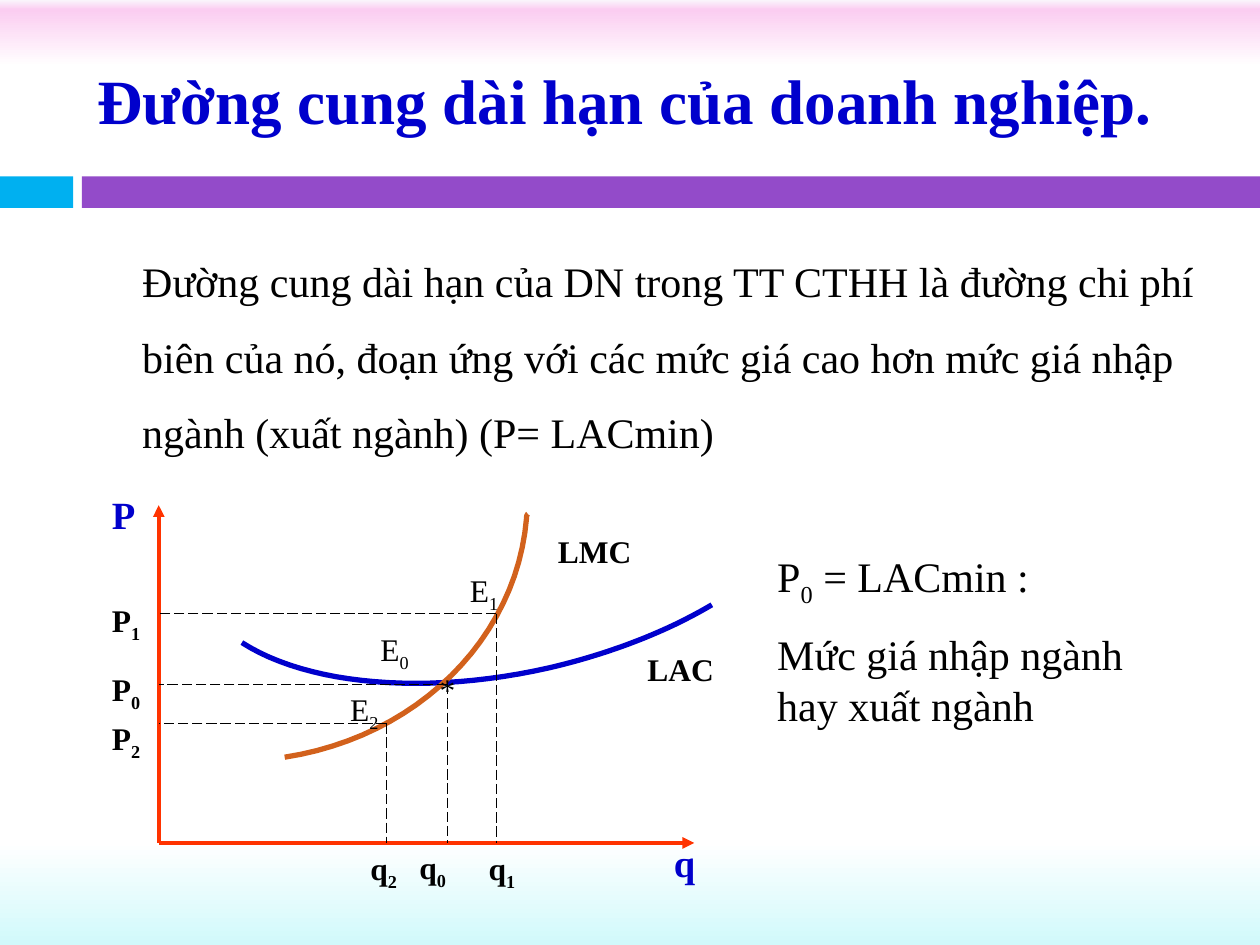
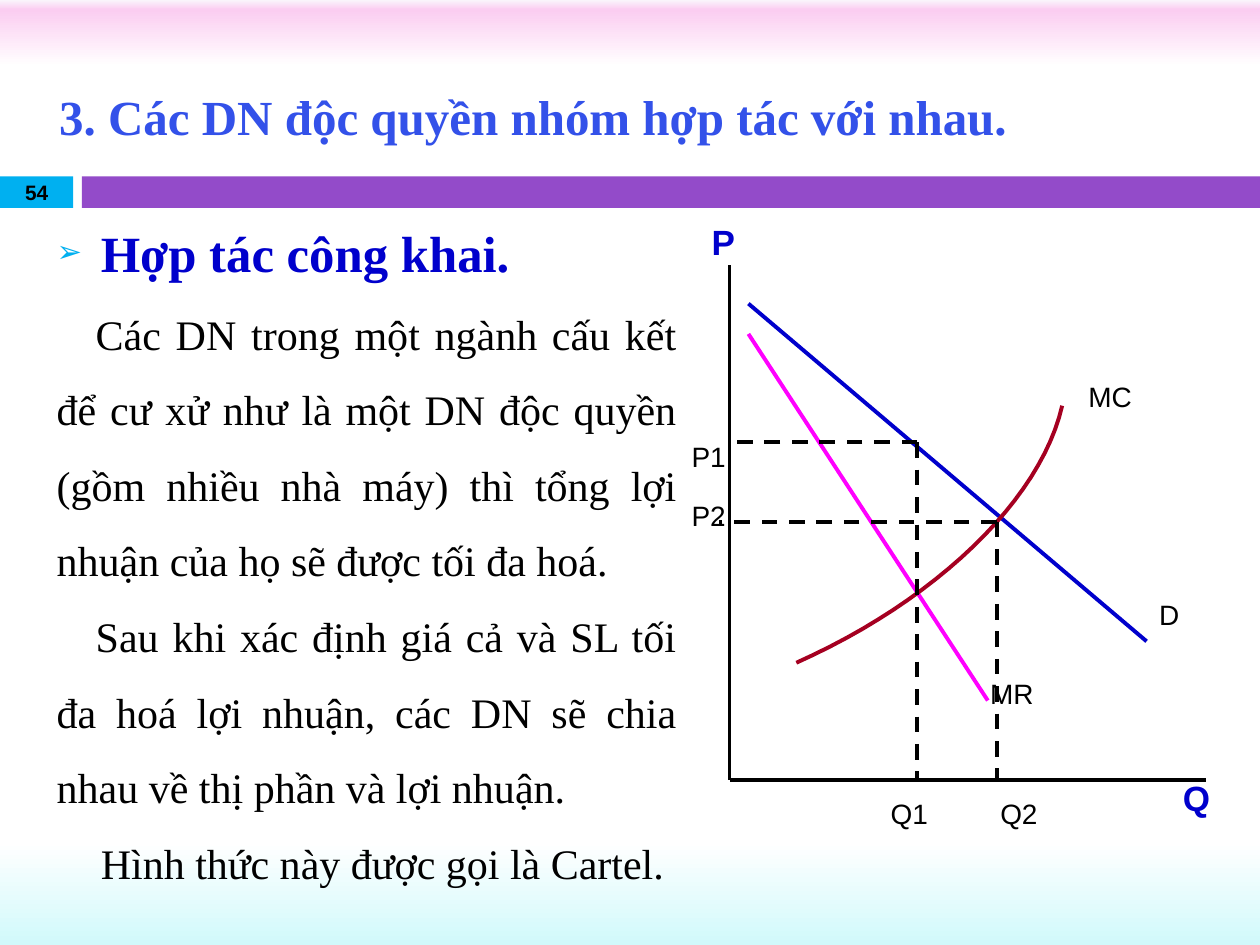
from dataclasses import dataclass

from lxml import etree
from pptx import Presentation
from pptx.dml.color import RGBColor
from pptx.enum.dml import MSO_LINE
from pptx.enum.shapes import MSO_CONNECTOR, MSO_SHAPE
from pptx.enum.text import MSO_ANCHOR, MSO_AUTO_SIZE, PP_ALIGN
from pptx.oxml.ns import qn
from pptx.util import Inches, Pt

STRAIGHT = MSO_CONNECTOR.STRAIGHT
RECTANGLE = MSO_SHAPE.RECTANGLE
DASH, LONG_DASH = MSO_LINE.DASH, MSO_LINE.LONG_DASH
TOP, MIDDLE = MSO_ANCHOR.TOP, MSO_ANCHOR.MIDDLE
NO_FIT = MSO_AUTO_SIZE.NONE
LEFT, CENTER, JUSTIFY = PP_ALIGN.LEFT, PP_ALIGN.CENTER, PP_ALIGN.JUSTIFY


@dataclass(frozen=True)
class Theme:
    serif: str = "Times New Roman"
    sans: str = "Arial"
    black: str = "000000"
    white: str = "FFFFFF"
    cyan: str = "00B0F0"
    purple: str = "934BC9"
    blue: str = "0000CC"
    title_blue: str = "3351E9"
    red: str = "FF3300"
    orange: str = "D2611C"
    magenta: str = "FF00FF"
    crimson: str = "A50021"
    background: tuple = ((0, "FAF6FC"), (1, "FBCDF1"), (7, "FFFFFF"),
                         (89, "FFFFFF"), (100, "D1F9FB"))
    title_size: float = 36
    subtitle_size: float = 28
    heading_size: float = 29
    body_size: float = 24
    axis_size: float = 22
    label_size: float = 18
    sans_axis_size: float = 20
    sans_label_size: float = 16
    number_size: float = 11.9


THEME = Theme()


def style(size, color=THEME.black, bold=False, name=THEME.serif):
    """Character format; the colour is kept beside the plain attributes."""
    return {"name": name, "size": Pt(size), "bold": bold}, color


BODY = style(THEME.body_size)
AXIS = style(THEME.axis_size, THEME.blue, True)
POINT = style(THEME.label_size)
BOLD_LABEL = style(THEME.label_size, bold=True)
SANS_AXIS = style(THEME.sans_axis_size, THEME.blue, True, THEME.sans)
SANS_LABEL = style(THEME.sans_label_size, name=THEME.sans)


def set_attributes(target, values):
    for attribute, value in values.items():
        setattr(target, attribute, value)


# ---- Text ----
def write(paragraph, text, text_style, **layout):
    """Fill a paragraph; underscores switch subscript on and off."""
    font_values, color = text_style
    set_attributes(paragraph, layout)
    for index, part in enumerate(text.split("_")):
        if part:
            run = paragraph.add_run()
            run.text = part
            set_attributes(run.font, font_values)
            run.font.color.rgb = RGBColor.from_string(color)
            if index % 2:
                run.font._element.set("baseline", "-25000")


def place(shape, left, top, width, height):
    set_attributes(shape, {"left": Inches(left), "top": Inches(top),
                           "width": Inches(width), "height": Inches(height)})


def prepare_frame(shape, anchor):
    frame = shape.text_frame
    set_attributes(frame, {"word_wrap": True, "auto_size": NO_FIT,
                           "vertical_anchor": anchor})
    return frame


def add_text(slide, box, paragraphs, text_style, anchor=TOP, **layout):
    textbox = slide.shapes.add_textbox(*map(Inches, box))
    frame = prepare_frame(textbox, anchor)
    for index, text in enumerate(paragraphs):
        paragraph = frame.add_paragraph() if index else frame.paragraphs[0]
        write(paragraph, text, text_style, **layout)


def add_labels(slide, labels, text_style, width=0.65):
    for text, left, top in labels:
        add_text(slide, (left, top, width, 0.4), [text], text_style)


def set_title(slide, box, text, text_style):
    place(slide.shapes.title, *box)
    frame = prepare_frame(slide.shapes.title, MIDDLE)
    write(frame.paragraphs[0], text, text_style, alignment=LEFT)


def set_indent(paragraph, margin, first_line, bullet=None):
    properties = paragraph._p.get_or_add_pPr()
    properties.set("marL", str(Inches(margin)))
    properties.set("indent", str(Inches(first_line)))
    if bullet is None:
        etree.SubElement(properties, qn("a:buNone"))
        return
    color = etree.SubElement(properties, qn("a:buClr"))
    etree.SubElement(color, qn("a:srgbClr"), val=THEME.cyan)
    etree.SubElement(properties, qn("a:buSzPct"), val="60000")
    etree.SubElement(properties, qn("a:buChar"), char=bullet)


# ---- Lines and curves ----
def set_line(shape, color, width, dash=None):
    shape.line.color.rgb = RGBColor.from_string(color)
    shape.line.width = Pt(width)
    if dash:
        shape.line.dash_style = dash


def add_line(slide, start, end, color, width=2.25, dash=None, arrow=False):
    line = slide.shapes.add_connector(STRAIGHT, *map(Inches, start + end))
    set_line(line, color, width, dash)
    etree.SubElement(line._element.spPr, qn("a:effectLst"))
    if arrow:
        etree.SubElement(line.line._ln, qn("a:tailEnd"), type="triangle")


def add_axes(slide, origin, top, right, color, arrow=False):
    for tip in ((origin[0], top), (right, origin[1])):
        add_line(slide, origin, tip, color, arrow=arrow)


def add_guides(slide, point, origin, width, dash, overshoot=0):
    """Dashed lines from a point to both axes."""
    for foot in ((point[0], origin[1]), (origin[0] - overshoot, point[1])):
        add_line(slide, point, foot, THEME.black, width, dash)


def bezier(p0, p1, p2, p3, steps=24):
    for step in range(1, steps + 1):
        t = step / steps
        weights = ((1 - t) ** 3, 3 * t * (1 - t) ** 2, 3 * t * t * (1 - t), t ** 3)
        yield tuple(sum(w * p[axis] for w, p in zip(weights, (p0, p1, p2, p3)))
                    for axis in (0, 1))


def add_curve(slide, controls, color, width):
    """Smooth open outline; every three further points close one segment."""
    points = [tuple(map(Inches, point)) for i in range(0, len(controls) - 1, 3)
              for point in bezier(*controls[i:i + 4])]
    # The builder rounds to whole units, so points are given in EMU
    builder = slide.shapes.build_freeform(*map(Inches, controls[0]), scale=1.0)
    builder.add_line_segments(points, close=False)
    curve = builder.convert_to_shape()
    curve.fill.background()
    curve.shadow.inherit = False
    set_line(curve, color, width)


# ---- Shared background and bands ----
def dress_master(master, slide):
    fill = master.background.fill
    fill.gradient()
    fill.gradient_angle = 270
    stops = fill._fill._gradFill.find(qn("a:gsLst"))
    for stop in list(stops):
        stops.remove(stop)
    for percent, color in THEME.background:
        stop = etree.SubElement(stops, qn("a:gs"), pos=str(percent * 1000))
        etree.SubElement(stop, qn("a:srgbClr"), val=color)

    bands = (((0, 1.35, 10, 0.35), THEME.white),
             ((0, 1.4, 0.58, 0.25), THEME.cyan),
             ((0.65, 1.4, 9.35, 0.25), THEME.purple))
    first_placeholder = master.shapes[0].element
    for number, (box, color) in enumerate(bands, 101):
        band = slide.shapes.add_shape(RECTANGLE, *map(Inches, box))
        band.fill.solid()
        band.fill.fore_color.rgb = RGBColor.from_string(color)
        band.line.fill.background()
        band.shadow.inherit = False
        band.element.nvSpPr.cNvPr.set("id", str(number))
        first_placeholder.addprevious(band.element)


# ---- Slide 1: long-run supply ----
def build_supply_slide(slide):
    set_title(slide, (0.67, 0.25, 8.92, 1.08), "Đường cung dài hạn của doanh nghiệp.",
              style(THEME.title_size, THEME.blue, True))
    add_text(slide, (1.03, 1.78, 8.55, 2.52),
             ["Đường cung dài hạn của DN trong TT CTHH là đường chi phí biên của nó, "
              "đoạn ứng với các mức giá cao hơn mức giá nhập ngành (xuất ngành) "
              "(P= LACmin)"], BODY, line_spacing=1.5)
    add_text(slide, (6.07, 4.32, 3.39, 1.51),
             ["P_0_ = LACmin :", "Mức giá nhập ngành hay xuất ngành"],
             BODY, space_before=Pt(12))

    # Axes, cost curves and equilibrium points
    origin = (1.26, 6.69)
    add_axes(slide, origin, 4.01, 5.51, THEME.red, arrow=True)
    add_curve(slide, [(5.65, 4.8), (5.28, 5.02), (4.83, 5.19), (4.36, 5.3),
                      (3.39, 5.52), (2.45, 5.44), (1.92, 5.1)], THEME.blue, 3)
    add_curve(slide, [(2.26, 6.01), (3.31, 5.85), (4.1, 5.07), (4.18, 4.11),
                      (4.18, 4.1), (4.18, 4.09), (4.19, 4.08)], THEME.orange, 3)
    for equilibrium in ((3.55, 5.43), (3.94, 4.87), (3.07, 5.74)):
        add_guides(slide, equilibrium, origin, 0.75, LONG_DASH)

    add_labels(slide, [("P", 0.79, 3.85), ("q", 5.25, 6.61)], AXIS)
    add_labels(slide, [("LMC", 4.33, 4.17), ("LAC", 5.04, 5.11)], BOLD_LABEL, 1.02)
    add_labels(slide, [("P_0", 0.79, 5.27), ("P_1", 0.79, 4.72), ("P_2", 0.79, 5.66),
                       ("q_0", 3.23, 6.68), ("q_1", 3.78, 6.69),
                       ("q_2", 2.84, 6.69)], BOLD_LABEL)
    add_labels(slide, [("E_0", 2.92, 4.95), ("E_1", 3.63, 4.48), ("E_2", 2.68, 5.43),
                       ("*", 3.39, 5.27)], POINT)


# ---- Slide 2: cooperating oligopoly ----
def build_cartel_slide(slide):
    set_title(slide, (0.37, 0.48, 10, 0.88), "3. Các DN độc quyền nhóm hợp tác với nhau.",
              style(THEME.subtitle_size, THEME.title_blue, True))
    add_text(slide, (0, 1.39, 0.58, 0.27), ["54"],
             style(THEME.number_size, bold=True, name=THEME.sans),
             anchor=MIDDLE, alignment=CENTER)

    # Explanation
    explanation = slide.placeholders[1]
    place(explanation, 0.35, 1.47, 5.12, 5.67)
    frame = prepare_frame(explanation, TOP)
    heading = style(THEME.heading_size, THEME.blue, True)
    lines = (
        ("Hợp tác công khai.", heading, (0.35, -0.35, "➢")),
        ("Các DN trong một ngành cấu kết để cư xử như là một DN độc quyền (gồm nhiều "
         "nhà máy) thì tổng lợi nhuận của họ sẽ được tối đa hoá.", BODY, (0, 0.31)),
        ("Sau khi xác định giá cả và SL tối đa hoá lợi nhuận, các DN sẽ chia nhau về "
         "thị phần và lợi nhuận.", BODY, (0, 0.31)),
        ("Hình thức này được gọi là Cartel.", BODY, (0.35, 0)),
    )
    for index, (text, text_style, indent) in enumerate(lines):
        paragraph = frame.add_paragraph() if index else frame.paragraphs[0]
        write(paragraph, text, text_style, alignment=JUSTIFY,
              line_spacing=1.5, space_before=Pt(0))
        set_indent(paragraph, *indent)

    # Axes, demand, marginal revenue and marginal cost
    origin = (5.79, 6.19)
    add_axes(slide, origin, 2.1, 9.57, THEME.black)
    add_line(slide, (5.94, 2.41), (9.1, 5.09), THEME.blue)
    add_line(slide, (5.94, 2.65), (7.84, 5.56), THEME.magenta)
    add_curve(slide, [(6.32, 5.26), (7.42, 4.77), (8.26, 3.97), (8.43, 3.22)],
              THEME.crimson, 2.25)
    add_guides(slide, (7.28, 3.51), origin, 2.25, DASH)
    add_guides(slide, (7.91, 4.14), origin, 2.25, DASH, overshoot=0.08)

    add_labels(slide, [("P", 5.55, 1.7), ("Q", 9.29, 6.11)], SANS_AXIS)
    add_labels(slide, [("MC", 8.54, 2.96), ("D", 9.1, 4.69), ("MR", 7.76, 5.32),
                       ("Q1", 6.97, 6.27), ("Q2", 7.84, 6.27),
                       ("P1", 5.39, 3.44), ("P2", 5.39, 3.91)], SANS_LABEL)


def main():
    presentation = Presentation()
    presentation.slide_width = Inches(10)
    presentation.slide_height = Inches(7.5)
    layouts = presentation.slide_layouts
    supply = presentation.slides.add_slide(layouts.get_by_name("Title Only"))
    cartel = presentation.slides.add_slide(layouts.get_by_name("Title and Content"))
    dress_master(presentation.slide_master, supply)
    build_supply_slide(supply)
    build_cartel_slide(cartel)
    presentation.save("out.pptx")


if __name__ == "__main__":
    main()
